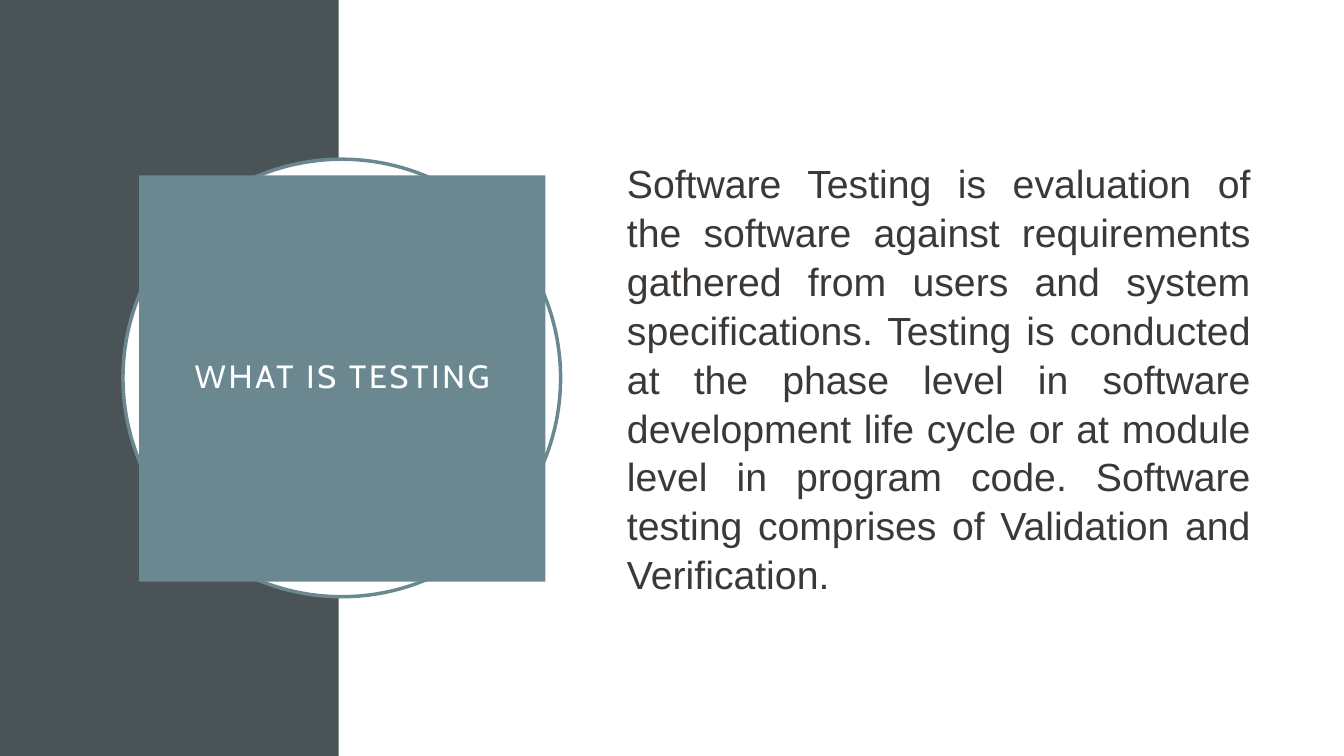
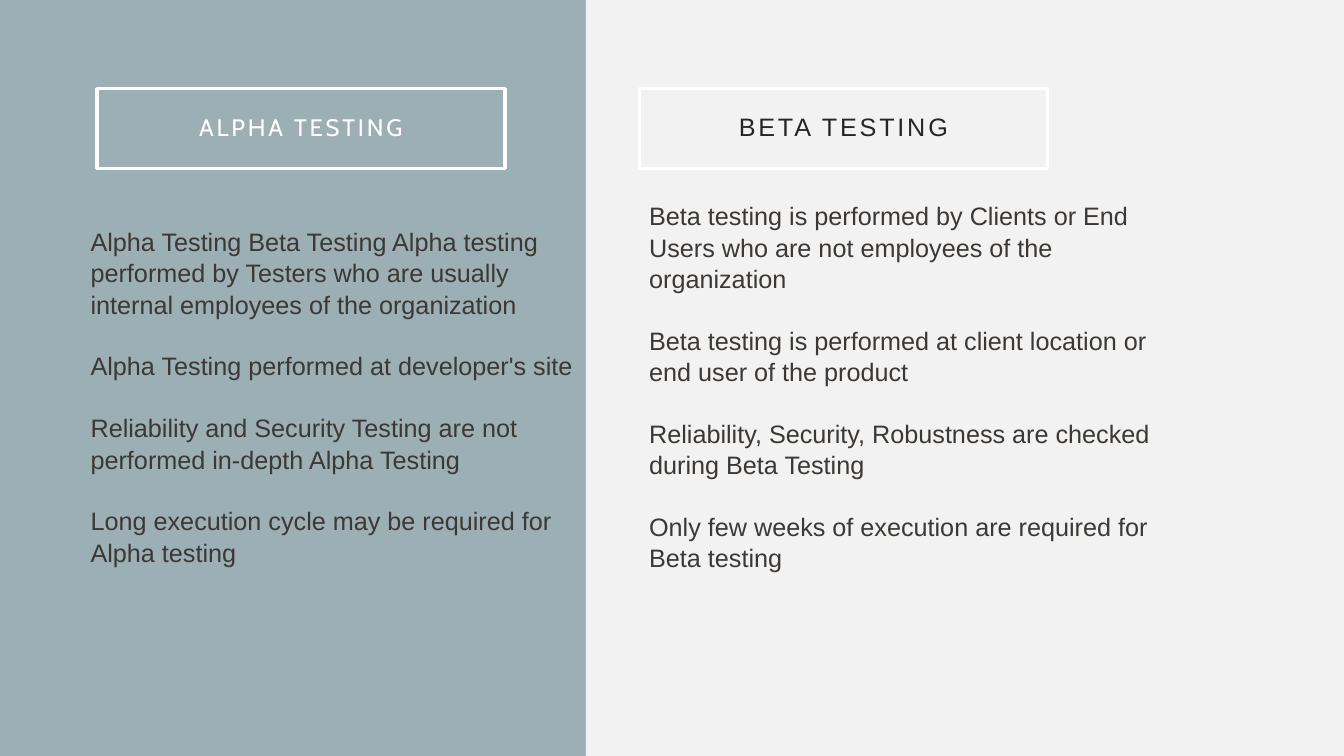
from pptx import Presentation
from pptx.dml.color import RGBColor
from pptx.enum.shapes import MSO_SHAPE as Shape
from pptx.enum.text import MSO_ANCHOR as Anchor, MSO_AUTO_SIZE as AutoSize, PP_ALIGN as Align
from pptx.util import Inches, Pt

WHITE = RGBColor(0xFF, 0xFF, 0xFF)
SLATE = RGBColor(0x4A, 0x53, 0x56)
TEAL = RGBColor(0x6B, 0x88, 0x91)
MIST = RGBColor(0x9B, 0xAF, 0xB5)
PALE = RGBColor(0xF2, 0xF2, 0xF2)
INK = RGBColor(0x3B, 0x38, 0x35)
DARK = RGBColor(0x26, 0x26, 0x26)
HEAD_FONT, BODY_FONT = "Cabin", "Arial"
WIDTH, HEIGHT = 13.33, 7.5

DEFINITION_TITLE = "WHAT IS TESTING"
DEFINITION = [
    "Software Testing is evaluation of the software against requirements gathered from users "
    "and system specifications. Testing is conducted at the phase level in software development "
    "life cycle or at module level in program code. Software testing comprises of Validation and "
    "Verification.",
]
ALPHA_TITLE = "ALPHA TESTING"
ALPHA = [
    "Alpha Testing Beta Testing Alpha testing performed by Testers who are usually internal "
    "employees of the organization",
    "Alpha Testing performed at developer's site",
    "Reliability and Security Testing are not performed in-depth Alpha Testing",
    "Long execution cycle may be required for Alpha testing",
]
BETA_TITLE = "BETA TESTING"
BETA = [
    "Beta testing is performed by Clients or End Users who are not employees of the organization",
    "Beta testing is performed at client location or end user of the product",
    "Reliability, Security, Robustness are checked during Beta Testing",
    "Only few weeks of execution are required for Beta testing",
]


def add_slide(deck, background):
    page = deck.slides.add_slide(deck.slide_layouts[5])
    page.background.fill.solid()
    page.background.fill.fore_color.rgb = background
    return page


def paint(shape, fill=None, line=None):
    if fill is None:
        shape.fill.background()
    else:
        shape.fill.solid()
        shape.fill.fore_color.rgb = fill
    if line is None:
        shape.line.fill.background()
    else:
        shape.line.color.rgb = line
        shape.line.width = Pt(2.5)


def add_shape(page, kind, place, fill=None, line=None):
    shape = page.shapes.add_shape(kind, *map(Inches, place))
    shape.shadow.inherit = False
    paint(shape, fill, line)
    return shape


def style(span, font, size, color):
    span.font.name = font
    span.font.size = Pt(size)
    span.font.color.rgb = color


def write_heading(shape, text, size, font=HEAD_FONT, color=WHITE):
    frame = shape.text_frame
    frame.text = text
    frame.word_wrap = True
    frame.auto_size = AutoSize.NONE
    frame.vertical_anchor = Anchor.MIDDLE
    frame.margin_left = frame.margin_right = Inches(0.2)
    frame.margin_top = frame.margin_bottom = Inches(0.2)
    para = frame.paragraphs[0]
    para.alignment = Align.CENTER
    para.line_spacing = 0.9
    span = para.runs[0]
    style(span, font, size, color)
    span.font._element.set("spc", "200")


def place_title(page, place, text, size, fill=None, line=None):
    title = page.shapes.title
    title.left, title.top, title.width, title.height = map(Inches, place)
    paint(title, fill, line)
    write_heading(title, text, size)
    title.element.getparent().append(title.element)


def add_body(page, place, texts, size, align=Align.LEFT):
    box = page.shapes.add_textbox(*map(Inches, place))
    frame = box.text_frame
    frame.word_wrap = True
    frame.vertical_anchor = Anchor.MIDDLE
    for index, text in enumerate(texts):
        para = frame.add_paragraph() if index else frame.paragraphs[0]
        para.text = text
        para.alignment = align
        para.line_spacing = 1.04
        para.space_before = Pt(size * 1.2 if index else 0)
        style(para.runs[0], BODY_FONT, size, INK)


def build_definition(deck):
    page = add_slide(deck, WHITE)
    add_shape(page, Shape.RECTANGLE, (0, 0, 3.36, HEIGHT), SLATE)
    add_shape(page, Shape.OVAL, (1.22, 1.58, 4.34, 4.34), WHITE, TEAL)
    place_title(page, (1.38, 1.74, 4.03, 4.03), DEFINITION_TITLE, 23, fill=TEAL)
    add_body(page, (6.12, 1.53, 6.38, 4.43), DEFINITION, 28, Align.JUSTIFY)


def build_comparison(deck):
    page = add_slide(deck, MIST)
    split = 5.81
    heading_top, heading_size = 0.88, (4.05, 0.79)
    add_shape(page, Shape.RECTANGLE, (split, 0, WIDTH - split, HEIGHT), PALE)
    place_title(page, (0.96, heading_top, *heading_size), ALPHA_TITLE, 17, line=WHITE)
    beta = add_shape(page, Shape.RECTANGLE, (6.34, heading_top, *heading_size), line=WHITE)
    write_heading(beta, BETA_TITLE, 18, BODY_FONT, DARK)
    add_body(page, (0.8, 0.88, 5.01, 6.1), ALPHA, 18)
    add_body(page, (6.34, 0.96, 5.4, 5.74), BETA, 18)


def main():
    deck = Presentation()
    deck.slide_width, deck.slide_height = Inches(WIDTH), Inches(HEIGHT)
    build_definition(deck)
    build_comparison(deck)
    deck.save("out.pptx")


if __name__ == "__main__":
    main()
